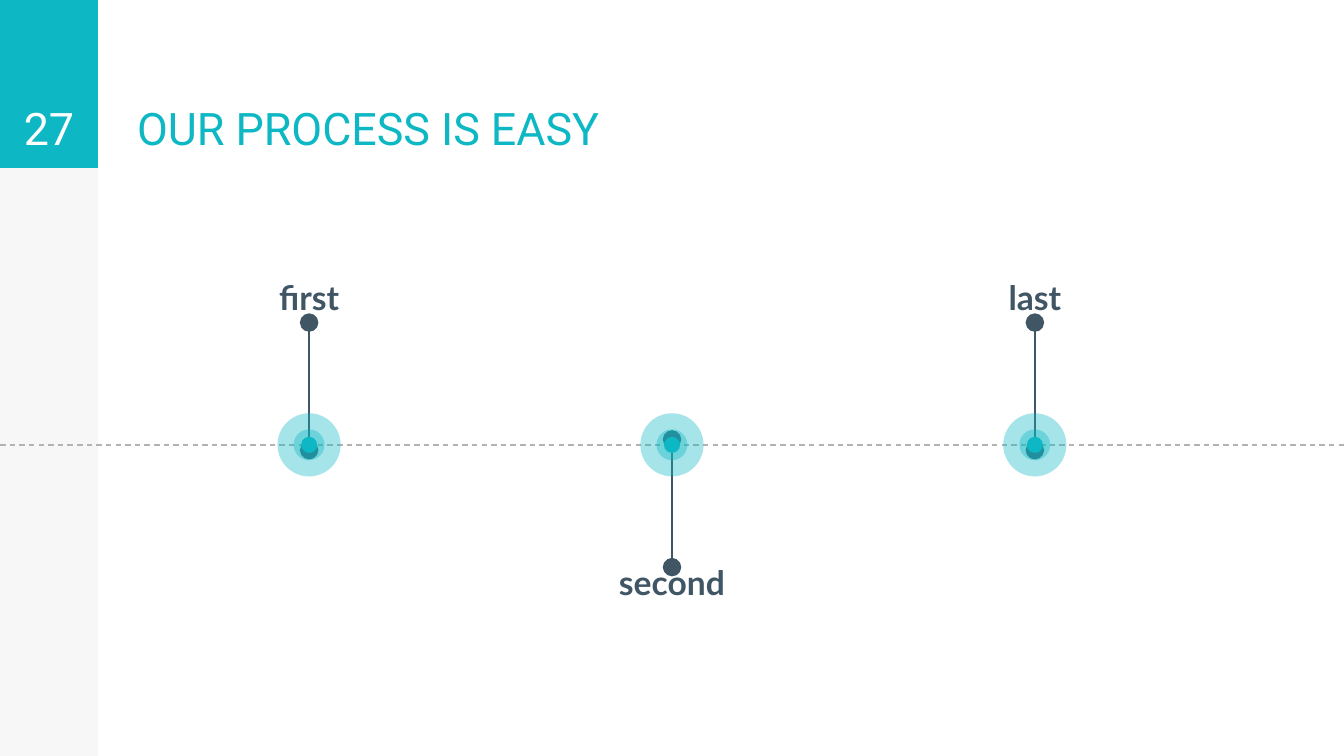
from dataclasses import dataclass

from lxml import etree
from pptx import Presentation
from pptx.dml.color import RGBColor
from pptx.enum.dml import MSO_LINE
from pptx.enum.shapes import MSO_CONNECTOR, MSO_SHAPE
from pptx.enum.text import MSO_ANCHOR, MSO_AUTO_SIZE, PP_ALIGN
from pptx.oxml.ns import qn
from pptx.util import Inches, Pt

RECT, OVAL = MSO_SHAPE.RECTANGLE, MSO_SHAPE.OVAL
LINE, DASH = MSO_CONNECTOR.STRAIGHT, MSO_LINE.DASH
TOP, LOW = MSO_ANCHOR.TOP, MSO_ANCHOR.BOTTOM
LEFT, MID = PP_ALIGN.LEFT, PP_ALIGN.CENTER
FIXED = MSO_AUTO_SIZE.NONE


@dataclass(frozen=True)
class Theme:
    teal: str = "0DB7C4"
    ink: str = "415665"
    gray: str = "B3B3B3"
    black: str = "000000"
    white: str = "FFFFFF"
    head: str = "Roboto"
    body: str = "Lato"
    big: int = 24
    mid: int = 18
    thin: float = 0.75
    pad: float = 0.1


THEME = Theme()
WIDE = 10
HIGH = WIDE * 9 / 16
BAND = 1.25  # height of the title row
RAIL = 0.73  # width of the side strip


def write(shape, text, font, size, color, align, anchor, bold=False):
    frame = shape.text_frame
    pad = Inches(THEME.pad)
    form = {"word_wrap": True, "auto_size": FIXED, "vertical_anchor": anchor,
            "margin_left": pad, "margin_right": pad,
            "margin_top": pad, "margin_bottom": pad}
    for name, value in form.items():
        setattr(frame, name, value)
    para = frame.paragraphs[0]
    para.alignment = align
    run = para.add_run()
    run.text = text
    for name, value in {"name": font, "size": Pt(size), "bold": bold}.items():
        setattr(run.font, name, value)
    run.font.color.rgb = RGBColor.from_string(color)


def fill(shapes, kind, box, color, alpha=None):
    shape = shapes.add_shape(kind, *map(Inches, box))
    shape.shadow.inherit = False
    shape.line.fill.background()
    shape.fill.solid()
    shape.fill.fore_color.rgb = RGBColor.from_string(color)
    if alpha is not None:
        tone = shape.fill._xPr.find(".//" + qn("a:srgbClr"))
        etree.SubElement(tone, qn("a:alpha")).set("val", str(alpha * 1000))
    return shape


def link(shapes, start, end, color, dash=None, ends=False):
    line = shapes.add_connector(LINE, *map(Inches, (*start, *end)))
    line.line.color.rgb = RGBColor.from_string(color)
    line.line.width = Pt(THEME.thin)
    if dash:
        line.line.dash_style = dash
    if ends:
        stroke = line.line._get_or_add_ln()
        for tag in ("a:headEnd", "a:tailEnd"):
            tip = etree.SubElement(stroke, qn(tag))
            for name, value in {"type": "oval", "w": "lg", "len": "lg"}.items():
                tip.set(name, value)
    etree.SubElement(line._element.spPr, qn("a:effectLst"))


def rail(shapes, box, number):
    """Side strip with the page number over its top block."""
    x, y, w, h = box
    block = (x, y, w, BAND)
    fill(shapes, RECT, box, THEME.black, 3)
    fill(shapes, RECT, block, THEME.teal)
    label = shapes.add_textbox(*map(Inches, block))
    write(label, number, THEME.head, THEME.big, THEME.white, MID, LOW)


def title(shape, box, text):
    names = ("left", "top", "width", "height")
    for name, value in zip(names, box):
        setattr(shape, name, Inches(value))
    write(shape, text, THEME.head, THEME.big, THEME.teal, LEFT, LOW)


def stop(shapes, x, y, text, side):
    """One step centred on the axis; side is -1 above, 1 below."""
    link(shapes, (x, y - side * 0.04), (x, y + side * 0.91), THEME.ink, ends=True)

    # Label beyond the stem
    w, h = 1.36, 0.45
    top = y + (0.77 if side > 0 else -1.35)
    label = shapes.add_textbox(*map(Inches, (x - w / 2, top, w, h)))
    write(label, text, THEME.body, THEME.mid, THEME.ink, MID, TOP, True)

    # Rings, from wide to narrow
    rings = shapes.add_group_shape().shapes
    for size, alpha in ((0.47, 37), (0.23, 37), (0.12, None)):
        fill(rings, OVAL, (x - size / 2, y - size / 2, size, size),
             THEME.teal, alpha)


def process(shapes, box, steps):
    """Dashed axis through the middle of the box, with evenly spaced steps."""
    x, y, w, h = box
    axis, gap = y + h / 2, 2.7
    link(shapes, (x, axis), (x + w, axis), THEME.gray, DASH)
    first = x + w / 2 - gap * (len(steps) - 1) / 2
    for i, text in enumerate(steps):
        stop(shapes, first + i * gap, axis, text, 1 if i % 2 else -1)


def main():
    deck = Presentation()
    deck.slide_width, deck.slide_height = Inches(WIDE), Inches(HIGH)
    slide = deck.slides.add_slide(deck.slide_layouts[5])
    shapes = slide.shapes
    rail(shapes, (0, 0, RAIL, HIGH), "27")
    title(shapes.title, (0.92, 0, 3.89, BAND), "OUR PROCESS IS EASY")
    process(shapes, (0, 1.96, WIDE, 2.7), ("first", "second", "last"))
    deck.save("out.pptx")


if __name__ == "__main__":
    main()
